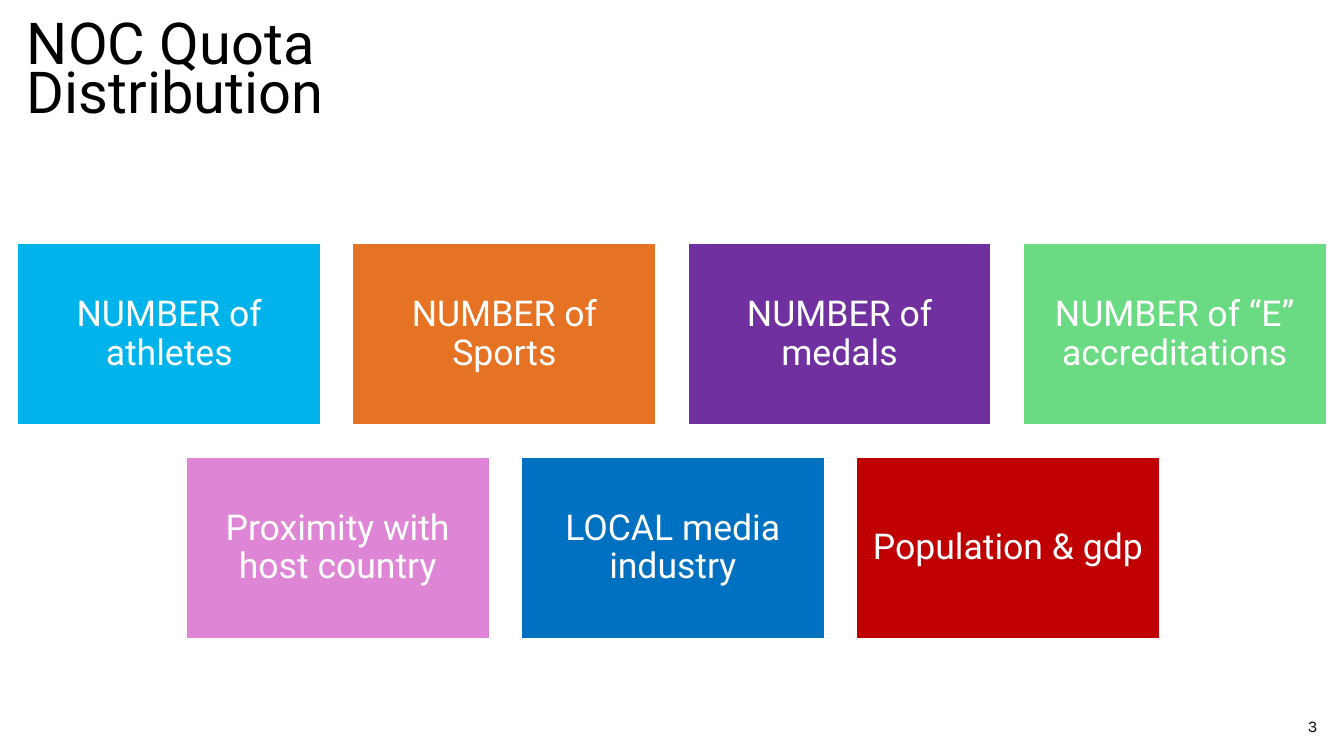
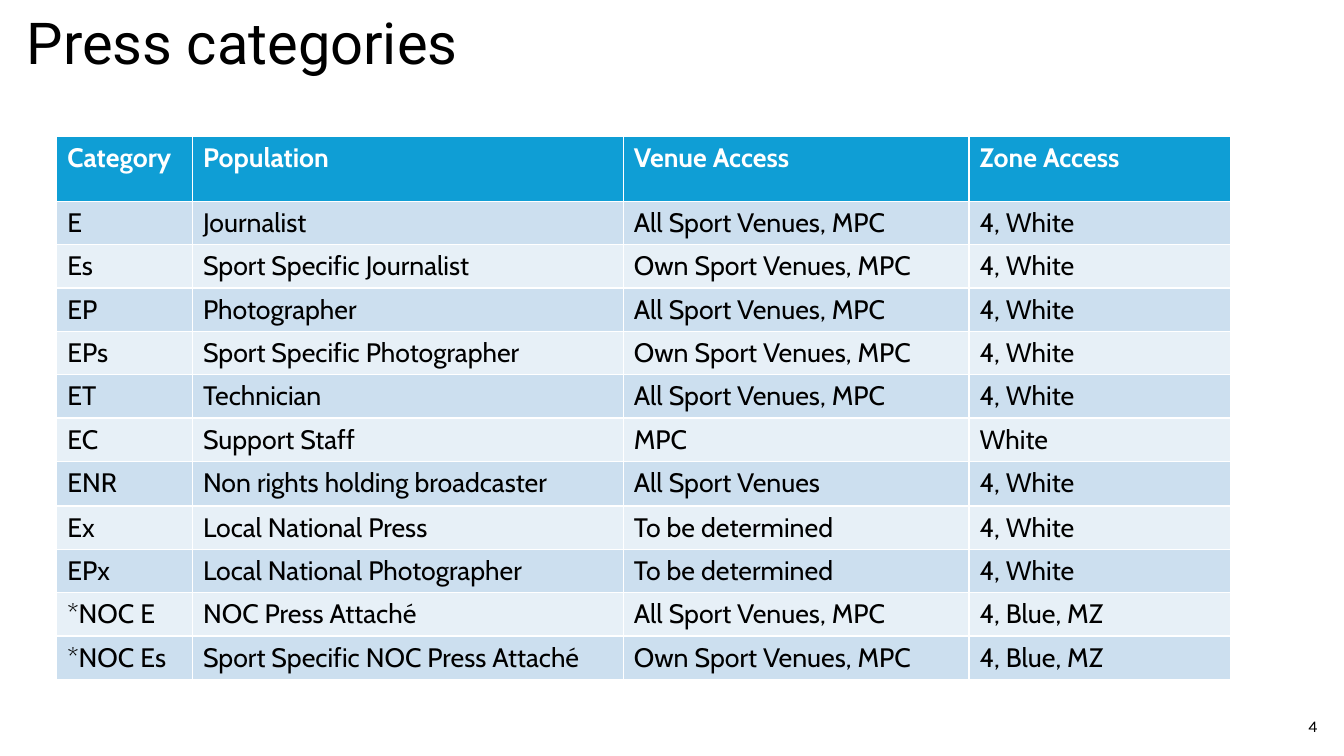
"""Build two slides on press quotas and press categories."""
import pptx
import pptx.dml.color
import pptx.enum.shapes
import pptx.enum.text
import pptx.util

Cm = pptx.util.Cm
Pt = pptx.util.Pt
RGB = pptx.dml.color.RGBColor
ALIGN = pptx.enum.text.PP_ALIGN
ANCHOR = pptx.enum.text.MSO_ANCHOR

WHITE = RGB(0xFF, 0xFF, 0xFF)
BLACK = RGB(0x00, 0x00, 0x00)
SKY = RGB(0x00, 0xB4, 0xEB)
ORANGE = RGB(0xE6, 0x73, 0x24)
PURPLE = RGB(0x70, 0x30, 0xA0)
GREEN = RGB(0x6B, 0xDB, 0x83)
PINK = RGB(0xDE, 0x86, 0xD5)
BLUE = RGB(0x00, 0x70, 0xC0)
RED = RGB(0xC0, 0x00, 0x00)
HEAD = RGB(0x0F, 0x9E, 0xD5)
BAND = RGB(0xCC, 0xDF, 0xEF)
PALE = RGB(0xE7, 0xF0, 0xF7)

TITLE = {"name": "Roboto", "size": Pt(39), "bold": False}
PAGE = {"name": "Karla", "size": Pt(11), "bold": False}
BOX = {"name": "Roboto", "size": Pt(24), "bold": False}
TOP = {"name": "Cabin", "size": Pt(18), "bold": True}
BODY = {"name": "Cabin", "size": Pt(18), "bold": False}


def write(frame, text, style, color, align=ALIGN.LEFT, space=None):
    """Fill a text frame with one styled paragraph."""
    frame.text = text
    para = frame.paragraphs[0]
    para.alignment = align
    para.line_spacing = space
    for key, value in style.items():
        setattr(para.font, key, value)
    para.font.color.rgb = color


def fit(frame, anchor, inset):
    """Set wrap, anchor and equal insets of a text frame."""
    frame.word_wrap = True
    frame.auto_size = pptx.enum.text.MSO_AUTO_SIZE.NONE
    frame.vertical_anchor = anchor
    for side in ("left", "top", "right", "bottom"):
        setattr(frame, "margin_" + side, inset)


deck = pptx.Presentation()
deck.slide_width = Cm(32)
deck.slide_height = Cm(18)

slides = []
for page, name in enumerate(["NOC Quota Distribution", "Press categories"], 3):
    slide = deck.slides.add_slide(deck.slide_layouts[5])
    title = slide.shapes.title
    title.left, title.top = Cm(0.64), Cm(0.66)
    title.width, title.height = Cm(12.45), Cm(2.11)
    fit(title.text_frame, ANCHOR.TOP, 0)
    write(title.text_frame, name, TITLE, BLACK, space=Pt(32.7))
    number = slide.shapes.add_textbox(Cm(29.69), Cm(16.71), Cm(1.68), Cm(0.81))
    fit(number.text_frame, ANCHOR.BOTTOM, 0)
    write(number.text_frame, str(page), PAGE, BLACK, ALIGN.RIGHT)
    slides.append(slide)
quota, press = slides

rows = [
    (0.41, 5.79, [
        ("NUMBER of athletes", SKY),
        ("NUMBER of Sports", ORANGE),
        ("NUMBER of medals", PURPLE),
        ("NUMBER of “E” accreditations", GREEN),
    ]),
    (4.42, 10.88, [
        ("Proximity with host country", PINK),
        ("LOCAL media industry", BLUE),
        ("Population & gdp", RED),
    ]),
]
pitch = 7.98
for left, top, boxes in rows:
    for col, (text, color) in enumerate(boxes):
        box = quota.shapes.add_shape(
            pptx.enum.shapes.MSO_SHAPE.RECTANGLE,
            Cm(left + col * pitch), Cm(top), Cm(7.24), Cm(4.34))
        box.shadow.inherit = False
        box.fill.solid()
        box.fill.fore_color.rgb = color
        box.line.color.rgb = WHITE
        box.line.width = Pt(1.5)
        fit(box.text_frame, ANCHOR.MIDDLE, Cm(0.25))
        write(box.text_frame, text, BOX, WHITE, ALIGN.CENTER, 0.9)

data = [
    ("Category", "Population", "Venue Access", "Zone Access"),
    ("E", "Journalist", "All Sport Venues, MPC", "4, White"),
    ("Es", "Sport Specific Journalist", "Own Sport Venues, MPC", "4, White"),
    ("EP", "Photographer", "All Sport Venues, MPC", "4, White"),
    ("EPs", "Sport Specific Photographer", "Own Sport Venues, MPC", "4, White"),
    ("ET", "Technician", "All Sport Venues, MPC", "4, White"),
    ("EC", "Support Staff", "MPC", "White"),
    ("ENR", "Non rights holding broadcaster", "All Sport Venues", "4, White"),
    ("Ex", "Local National Press", "To be determined", "4, White"),
    ("EPx", "Local National Photographer", "To be determined", "4, White"),
    ("*NOC E", "NOC Press Attaché", "All Sport Venues, MPC", "4, Blue, MZ"),
    ("*NOC Es", "Sport Specific NOC Press Attaché", "Own Sport Venues, MPC",
     "4, Blue, MZ"),
]
widths = [3.23, 10.26, 8.23, 6.22]
heights = [1.55] + [1.0] * 6 + [1.07] + [1.0] * 4
table = press.shapes.add_table(
    len(data), len(widths), Cm(1.35), Cm(3.25),
    Cm(sum(widths)), Cm(sum(heights))).table
table.horz_banding = False
for col, width in zip(table.columns, widths):
    col.width = Cm(width)
for index, (row, height, texts) in enumerate(zip(table.rows, heights, data)):
    row.height = Cm(height)
    if index == 0:
        fill, style, color = HEAD, TOP, WHITE
    else:
        fill, style, color = (BAND if index % 2 else PALE), BODY, BLACK
    for cell, text in zip(row.cells, texts):
        cell.fill.solid()
        cell.fill.fore_color.rgb = fill
        write(cell.text_frame, text, style, color)

deck.save("out.pptx")
